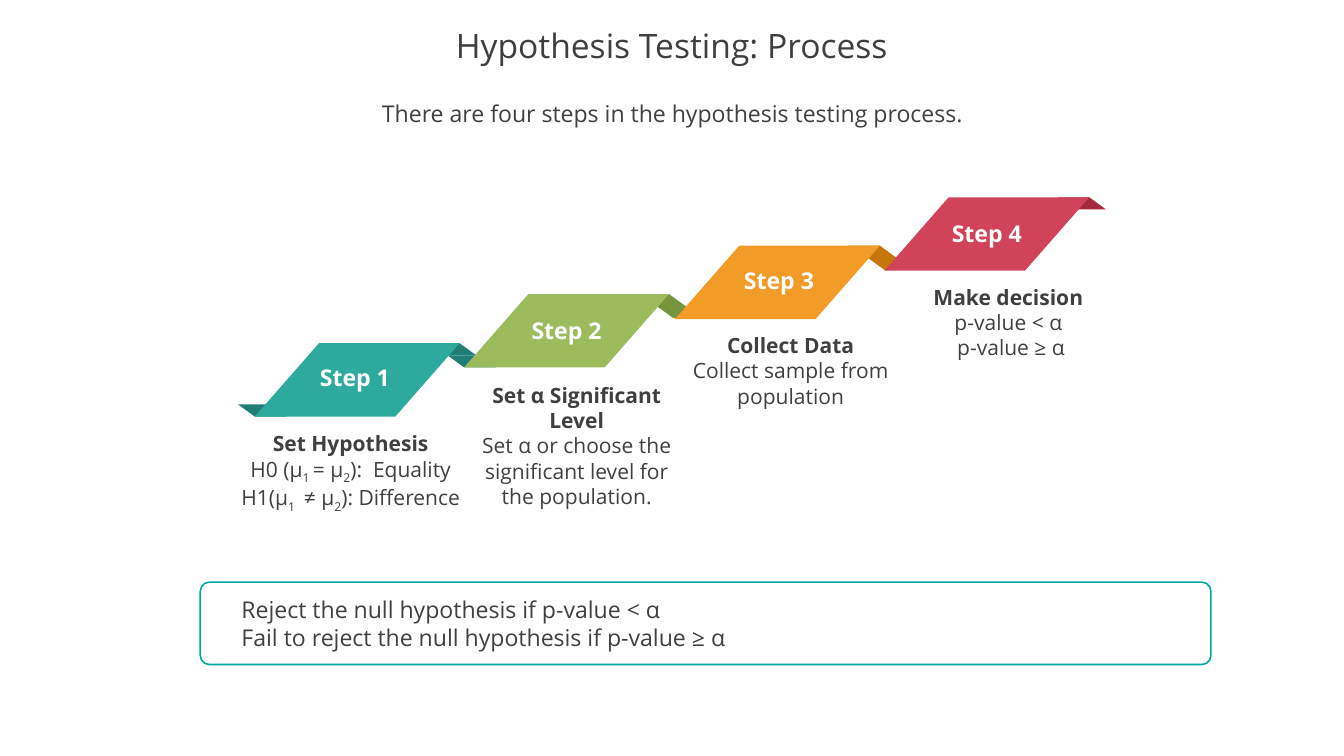
"""Build the slide on the four steps of hypothesis testing."""
from dataclasses import dataclass

from lxml import etree
from pptx import Presentation
from pptx.dml.color import RGBColor
from pptx.enum.shapes import MSO_SHAPE
from pptx.enum.text import MSO_ANCHOR, MSO_AUTO_SIZE, PP_ALIGN
from pptx.oxml.ns import qn
from pptx.util import Pt

PX = 9144
CENTER, LEFT = PP_ALIGN.CENTER, PP_ALIGN.LEFT
TOP, MIDDLE = MSO_ANCHOR.TOP, MSO_ANCHOR.MIDDLE
NO_FIT = MSO_AUTO_SIZE.NONE
ROUND = MSO_SHAPE.ROUNDED_RECTANGLE


@dataclass(frozen=True)
class Theme:
    font: str = "Open Sans"
    head: str = "3F3F3F"
    text: str = "404040"
    white: str = "FFFFFF"
    frame: str = "00A99D"
    title: int = 32
    lead: int = 22
    note: int = 20


THEME = Theme()
STEPS = [
    (337, 454, "2DA99D", "217E75", (404, 476), (286, 565, 356, 111),
     ["Set Hypothesis", "H0 (μ|1 |= μ|2|):  Equality", "H1(μ|1 | ≠ μ|2|): Difference"]),
    (614, 389, "9BBB5C", "76933D", (684, 414), (620, 501, 286, 178),
     ["Set α Significant Level",
      "Set α or choose the significant level for the population."]),
    (893, 325, "F29B26", "C6760B", (965, 348), (903, 435, 286, 111),
     ["Collect Data", "Collect sample from population"]),
    (1170, 261, "D14358", "A6283B", (1240, 285), (1191, 371, 286, 111),
     ["Make decision", "p-value < α", " p-value ≥ α"]),
]
BAND = [(85, 0), (271, 0), (186, 97), (0, 97)]
FOLD = [(0, 0), (42, 0), (64, 16), (22, 16)]


def draw(shapes, x, y, points, color):
    spots = [(x + dx, y + dy) for dx, dy in points]
    pen = shapes.build_freeform(*spots[0], scale=PX)
    pen.add_line_segments(spots[1:], close=True)
    form = pen.convert_to_shape()
    form.shadow.inherit = False
    form.fill.solid()
    form.fill.fore_color.rgb = RGBColor.from_string(color)
    form.line.fill.background()


def write(shape, lines, size, color, align=CENTER, anchor=TOP, bold=0):
    frame = shape.text_frame
    frame.word_wrap = True
    frame.auto_size = NO_FIT
    frame.vertical_anchor = anchor
    for i, line in enumerate(lines):
        para = frame.add_paragraph() if i else frame.paragraphs[0]
        para.alignment = align
        para.space_before = Pt(0)
        for j, part in enumerate(line.split("|")):
            run = para.add_run()
            run.text = part
            run.font.name = THEME.font
            run.font.size = Pt(size)
            run.font.bold = i < bold
            run.font.color.rgb = RGBColor.from_string(color)
            if j % 2:
                run._r.get_or_add_rPr().set("baseline", "-25000")


deck = Presentation()
deck.slide_width, deck.slide_height = 1778 * PX, 1000 * PX
slide = deck.slides.add_slide(deck.slide_layouts[1])

title, body = slide.placeholders
title.left, title.top, title.width, title.height = 0, 25 * PX, 1778 * PX, 75 * PX
write(title, ["Hypothesis Testing: Process"], THEME.title, THEME.head, anchor=MIDDLE)
title.text_frame.paragraphs[0].line_spacing = 0.9

body.left, body.top, body.width, body.height = 49 * PX, 126 * PX, 1681 * PX, 122 * PX
props = body.text_frame.paragraphs[0]._p.get_or_add_pPr()
props.set("marL", "0")
props.set("indent", "0")
etree.SubElement(props, qn("a:buNone"))
write(body, ["There are four steps in the hypothesis testing process."],
      THEME.lead, THEME.text)

for num, (x, y, color, dark, spot, area, lines) in enumerate(STEPS, 1):
    group = slide.shapes.add_group_shape().shapes
    if num == 1:
        draw(group, x - 22, y + 81, FOLD, dark)
    draw(group, x + 229, y, FOLD, dark)
    if num < len(STEPS):
        draw(group, x + 255, y + 16, FOLD, dark)
    draw(group, x, y, BAND, color)
    label = group.add_textbox(*[n * PX for n in (*spot, 131, 47)])
    write(label, [f"Step {num}"], THEME.lead, THEME.white, bold=1)
    note = group.add_textbox(*[n * PX for n in area])
    write(note, lines, THEME.note, THEME.text, bold=1)

rule = slide.shapes.add_shape(ROUND, 265 * PX, 770 * PX, 1337 * PX, 109 * PX)
rule.adjustments[0] = 0.11
rule.shadow.inherit = False
rule.fill.background()
rule.line.color.rgb = RGBColor.from_string(THEME.frame)
rule.line.width = Pt(1.5)
rule.text_frame.margin_left = 51 * PX
write(rule, ["Reject the null hypothesis if p-value < α",
             "Fail to reject the null hypothesis if p-value ≥ α"],
      THEME.lead, THEME.text, LEFT, MIDDLE)

deck.save("out.pptx")
